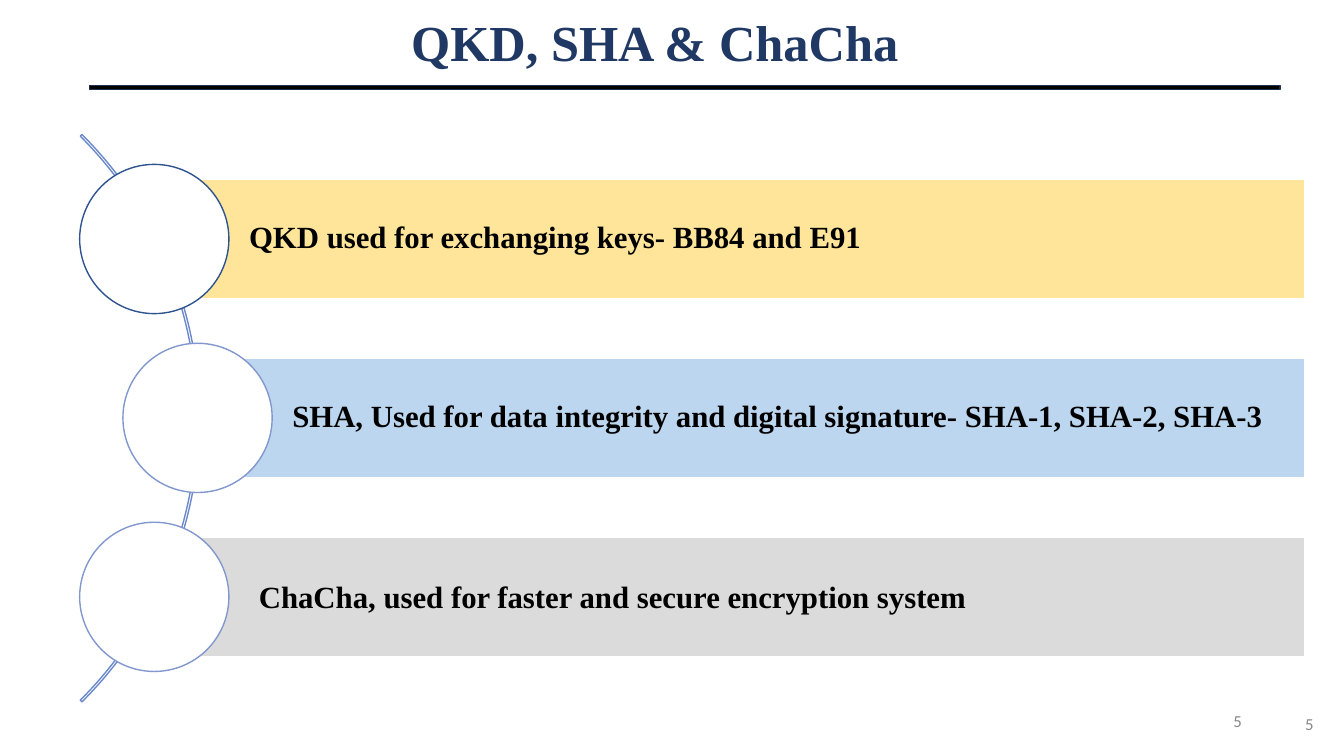
import pptx
import pptx.dml.color
import pptx.enum.shapes
import pptx.enum.text
import pptx.util

Pt = pptx.util.Pt
SHAPE = pptx.enum.shapes.MSO_SHAPE
ALIGN = pptx.enum.text.PP_ALIGN


def rgb(value):
    return pptx.dml.color.RGBColor.from_string(value)


def assign(target, values):
    for key, value in values.items():
        setattr(target, key, value)


class Sheet:
    """Draws styled elements on the current slide, with lengths in points."""

    serif = {"name": "Times New Roman", "bold": True}
    number = {"name": "Calibri", "size": Pt(12)}

    def __init__(self, slide):
        self.slide = slide

    def label(self, shape, text, font, color, align, spacing=1.0, insets=(7.2, 3.6, 7.2, 3.6)):
        frame = shape.text_frame
        sides = ("margin_left", "margin_top", "margin_right", "margin_bottom")
        assign(frame, dict(zip(sides, map(Pt, insets))))
        assign(frame, {
            "word_wrap": True,
            "auto_size": pptx.enum.text.MSO_AUTO_SIZE.NONE,
            "vertical_anchor": pptx.enum.text.MSO_ANCHOR.MIDDLE,
        })
        paragraph = frame.paragraphs[0]
        assign(paragraph, {"alignment": align, "line_spacing": spacing})
        run = paragraph.add_run()
        run.text = text
        assign(run.font, font)
        run.font.color.rgb = rgb(color)

    def title(self, text, left, top, width, height):
        heading = self.slide.shapes.title
        assign(heading, {"left": Pt(left), "top": Pt(top), "width": Pt(width), "height": Pt(height)})
        heading.fill.solid()
        heading.fill.fore_color.rgb = rgb("FFFFFF")
        self.label(heading, text, {**self.serif, "size": Pt(36)}, "1F3864", ALIGN.CENTER, 0.9)

    def shape(self, kind, box, line, fill=None, adjustments=()):
        drawn = self.slide.shapes.add_shape(kind, *map(Pt, box))
        drawn.shadow.inherit = False
        for index, value in enumerate(adjustments):
            drawn.adjustments[index] = value
        if fill:
            drawn.fill.solid()
            drawn.fill.fore_color.rgb = rgb(fill)
        else:
            drawn.fill.background()
        drawn.line.color.rgb = rgb(line)
        drawn.line.width = Pt(1)
        return drawn

    def bar(self, text, box, fill, indent, drop):
        band = self.shape(SHAPE.RECTANGLE, box, "FFFFFF", fill)
        self.label(band, text, {**self.serif, "size": Pt(22)}, "000000",
                   ALIGN.LEFT, 0.9, (indent, 5 + drop, 5, 5))

    def page_number(self, text, left, top):
        corner = self.slide.shapes.add_textbox(*map(Pt, (left, top, 216, 28.8)))
        self.label(corner, text, self.number, "888888", ALIGN.RIGHT)


def main():
    deck = pptx.Presentation()
    assign(deck, {"slide_width": Pt(960), "slide_height": Pt(540)})
    sheet = Sheet(deck.slides.add_slide(deck.slide_layouts[5]))

    sheet.page_number("5", 678.2, 500.4)
    sheet.page_number("5", 729.4, 502.6)
    sheet.title("QKD, SHA & ChaCha", 135.4, 7.2, 664.6, 49.7)
    sheet.shape(SHAPE.MATH_MINUS, (-89.3, 44.6, 1157, 36), "1C3052", "000000", [0.082])
    sheet.shape(SHAPE.BLOCK_ARC, (-430.6, 12.2, 573.1, 573.1), "6B89CB",
                adjustments=[189, 27, 0.003])

    diameter, bar_height, bar_right = 106.6, 85, 931.7
    first_middle, pitch = 170.7, 127.8
    topics = [
        ("QKD used for exchanging keys- BB84 and E91", 110.2, "FEE599", "2E538F", 67.7, 0),
        ("SHA, Used for data integrity and digital signature- SHA-1, SHA-2, SHA-3",
         141.1, "BBD6EE", "8297CD", 67.7, 0),
        ("ChaCha, used for faster and secure encryption system",
         110.2, "DBDBDB", "8297CD", 74.7, 3),
    ]
    for row, (text, center, fill, outline, indent, drop) in enumerate(topics):
        middle = first_middle + row * pitch
        sheet.bar(text, (center, middle - bar_height / 2, bar_right - center, bar_height),
                  fill, indent, drop)
        sheet.shape(SHAPE.OVAL, (center - diameter / 2, middle - diameter / 2, diameter, diameter),
                    outline, "FFFFFF")

    deck.save("out.pptx")


if __name__ == "__main__":
    main()
